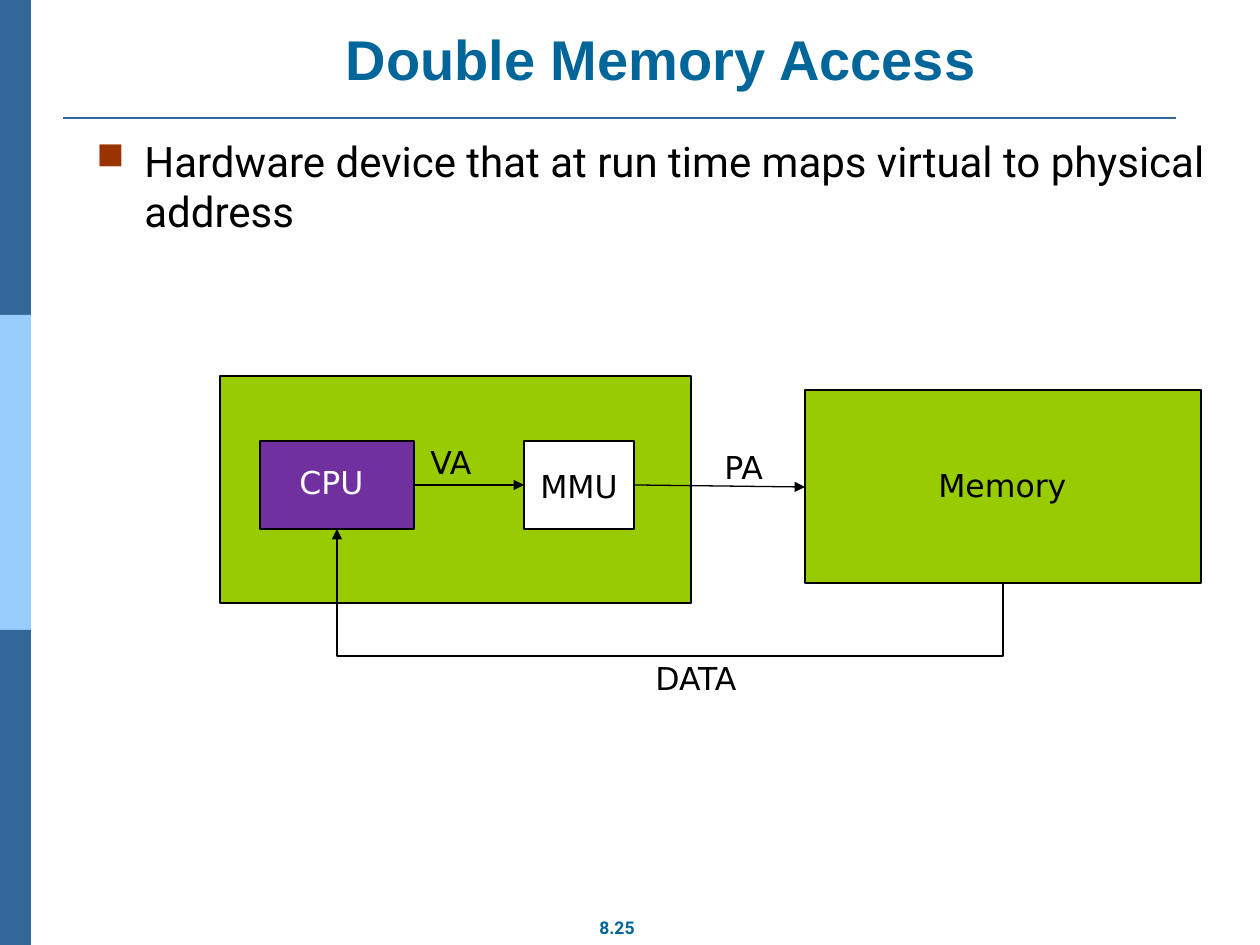
from dataclasses import dataclass

from lxml.etree import SubElement
from pptx import Presentation
from pptx.dml.color import RGBColor
from pptx.enum.shapes import MSO_CONNECTOR, MSO_SHAPE
from pptx.enum.text import MSO_ANCHOR, PP_ALIGN
from pptx.oxml.ns import qn
from pptx.util import Emu, Pt

PX_PER_INCH = 126
BLACK, WHITE = "000000", "FFFFFF"
BLUE, LIGHT_BLUE, TITLE_BLUE = "336699", "99CCFF", "006699"
GREEN, PURPLE, RUST = "99CC00", "7030A0", "993300"


@dataclass
class Box:
    left: int
    top: int
    width: int
    height: int
    fill: str
    outline: str = ""


@dataclass
class Label:
    text: str
    left: int
    top: int
    width: int = 154
    height: int = 50
    size: int = 18
    font: str = "DejaVu Sans"
    color: str = BLACK
    bold: bool = False
    align: PP_ALIGN = PP_ALIGN.LEFT
    anchor: MSO_ANCHOR = MSO_ANCHOR.TOP
    wrap: bool = True
    space_before: float = 0


@dataclass
class Line:
    start: tuple[int, int]
    end: tuple[int, int]
    color: str = BLACK
    width: float = 0.75
    arrow: bool = True


def px(length: float) -> Emu:
    return Emu(round(length * 914400 / PX_PER_INCH))


def rgb(color: str) -> RGBColor:
    return RGBColor.from_string(color)


def draw_box(slide, box: Box) -> None:
    shape = slide.shapes.add_shape(
        MSO_SHAPE.RECTANGLE, px(box.left), px(box.top), px(box.width), px(box.height))
    shape.shadow.inherit = False
    shape.fill.solid()
    shape.fill.fore_color.rgb = rgb(box.fill)
    if box.outline:
        shape.line.color.rgb = rgb(box.outline)
        shape.line.width = Pt(0.75)
    else:
        shape.line.fill.background()


def draw_label(slide, label: Label):
    shape = slide.shapes.add_textbox(
        px(label.left), px(label.top), px(label.width), px(label.height))
    text_frame = shape.text_frame
    text_frame.word_wrap = label.wrap
    text_frame.vertical_anchor = label.anchor
    text_frame.text = label.text
    paragraph = text_frame.paragraphs[0]
    paragraph.alignment = label.align
    paragraph.space_before = Pt(label.space_before)
    font = paragraph.runs[0].font
    font.size = Pt(label.size)
    font.name = label.font
    font.bold = label.bold
    font.color.rgb = rgb(label.color)
    return paragraph


def add_bullet(paragraph, character: str, color: str, indent: int) -> None:
    properties = paragraph._p.get_or_add_pPr()
    properties.set("marL", str(px(indent)))
    properties.set("indent", str(-px(indent)))
    bullet_color = SubElement(properties, qn("a:buClr"))
    SubElement(bullet_color, qn("a:srgbClr"), val=color)
    SubElement(properties, qn("a:buSzPct"), val="90000")
    SubElement(properties, qn("a:buChar"), char=character)


def draw_line(slide, line: Line, kind=MSO_CONNECTOR.STRAIGHT):
    connector = slide.shapes.add_connector(
        kind, *(px(value) for value in line.start + line.end))
    connector.line.color.rgb = rgb(line.color)
    connector.line.width = Pt(line.width)
    if line.arrow:
        SubElement(connector.line._get_or_add_ln(), qn("a:tailEnd"), type="triangle")
    SubElement(connector._element.spPr, qn("a:effectLst"))
    return connector


def draw_return_path(slide, line: Line, low_y: int) -> None:
    """Leave the start downwards, run along low_y and rise to the end."""
    connector = draw_line(slide, line, MSO_CONNECTOR.ELBOW)
    (start_x, start_y), (end_x, end_y) = line.start, line.end
    width, height = start_y - end_y, start_x - end_x
    # A quarter turn swaps width and height around the same centre
    connector.left = px((start_x + end_x - width) / 2)
    connector.top = px((start_y + end_y - height) / 2)
    connector.width, connector.height = px(width), px(height)
    properties = connector._element.spPr
    transform = properties.find(qn("a:xfrm"))
    transform.attrib.pop("flipV", None)
    transform.set("flipH", "1")
    transform.set("rot", "5400000")
    geometry = properties.find(qn("a:prstGeom"))
    guides = geometry.find(qn("a:avLst"))
    if guides is None:
        guides = SubElement(geometry, qn("a:avLst"))
    bend = round((start_y - low_y) / width * 100000)
    SubElement(guides, qn("a:gd"), name="adj1", fmla=f"val {bend}")


BOXES = [
    Box(220, 376, 471, 227, GREEN, BLACK),   # processor
    Box(260, 441, 154, 88, PURPLE, BLACK),   # CPU
    Box(524, 441, 110, 88, WHITE, BLACK),    # MMU
    Box(805, 390, 396, 193, GREEN, BLACK),   # memory
]
ARROWS = [Line((414, 485), (524, 485)), Line((634, 485), (805, 487))]
LABELS = [
    Label("CPU", 287, 457, color=WHITE),
    Label("MMU", 528, 461),
    Label("Memory", 926, 460),
    Label("VA", 418, 437),
    Label("PA", 712, 442),
    Label("DATA", 643, 653),
]


def main() -> None:
    presentation = Presentation()
    presentation.slide_width, presentation.slide_height = px(1260), px(945)
    slide = presentation.slides.add_slide(presentation.slide_layouts[6])

    # Side band, rule and page number
    for index, color in enumerate((BLUE, LIGHT_BLUE, BLUE)):
        draw_box(slide, Box(0, index * 315, 31, 315, color))
    draw_line(slide, Line((63, 118), (1176, 118), BLUE, 1.5, arrow=False))
    draw_label(slide, Label("8.25", 586, 911, 62, 34, 10, "Roboto", TITLE_BLUE, True,
                            PP_ALIGN.CENTER, wrap=False, space_before=5))

    # Title and bullet
    draw_label(slide, Label("Double Memory Access", 121, 19, 1080, 79, 32, "Arial",
                            TITLE_BLUE, True, PP_ALIGN.CENTER, MSO_ANCHOR.BOTTOM))
    bullet = draw_label(slide, Label(
        "Hardware device that at run time maps virtual to physical address",
        84, 129, 1176, 709, 24, "Roboto", space_before=8.4))
    add_bullet(bullet, "■", RUST, 48)

    # Diagram
    for box in BOXES:
        draw_box(slide, box)
    for arrow in ARROWS:
        draw_line(slide, arrow)
    draw_return_path(slide, Line((1003, 583), (337, 529)), low_y=656)
    for label in LABELS:
        draw_label(slide, label)

    presentation.save("out.pptx")


if __name__ == "__main__":
    main()
